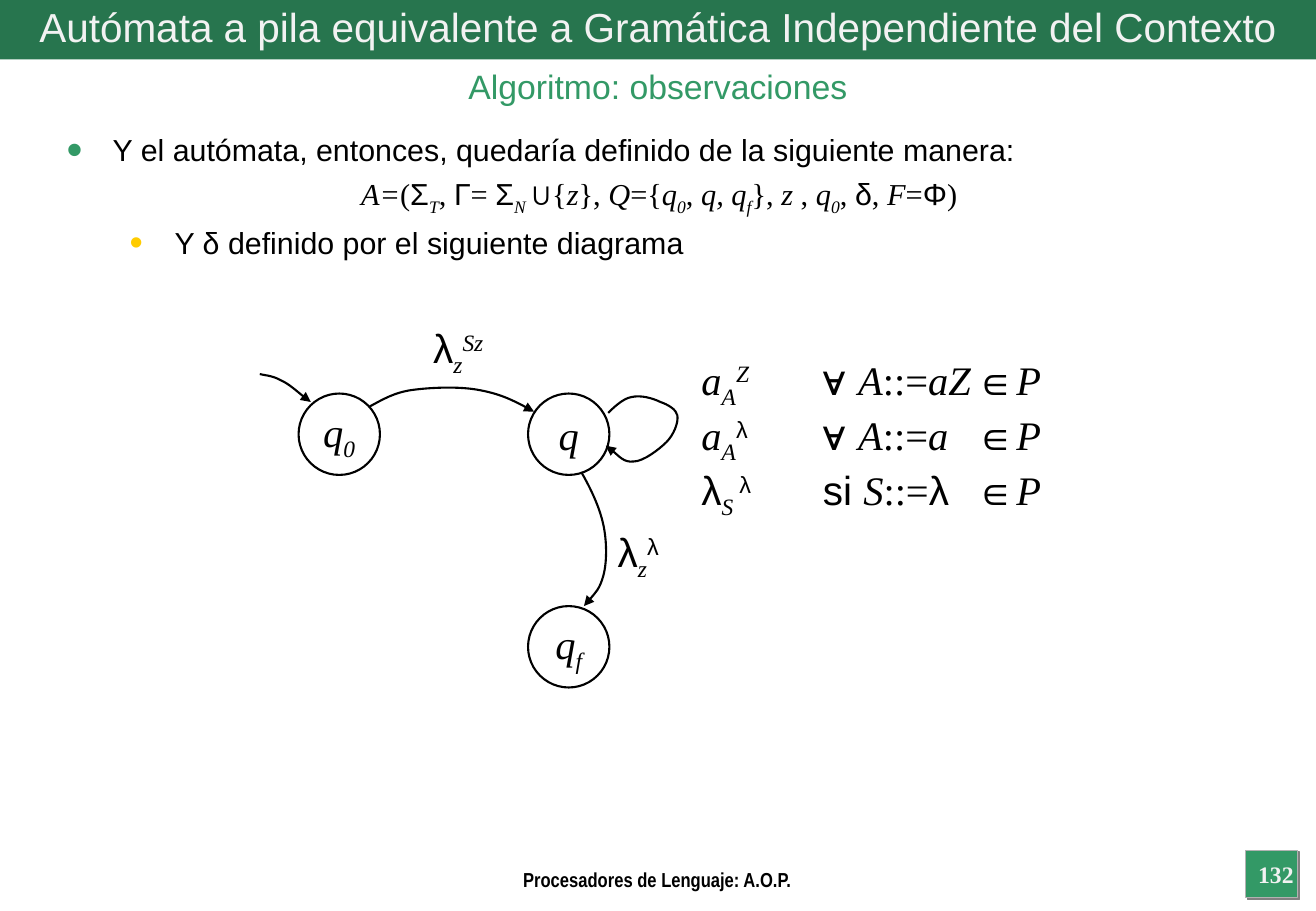
from dataclasses import dataclass

from lxml.etree import SubElement
from pptx import Presentation
from pptx.dml.color import RGBColor
from pptx.enum.shapes import MSO_SHAPE
from pptx.enum.text import MSO_ANCHOR, MSO_AUTO_SIZE, PP_ALIGN
from pptx.oxml.ns import qn
from pptx.util import Inches, Pt

CELL = Inches(0.1)  # side of one grid cell
COLUMNS, ROWS = 108.4, 75
BAND_ROWS = 4.9
STATE_SIZE = 6.7


@dataclass(frozen=True)
class Theme:
    band: str = "27754E"
    accent: str = "339966"
    second_bullet: str = "FFCC00"
    ink: str = "000000"
    light: str = "F2F2F2"
    badge_edge: str = "B2B2B2"
    badge_shadow: str = "808080"
    title: int = 24
    subtitle: int = 20
    body: int = 18
    symbol: int = 24
    footer: int = 12
    number: int = 14
    sans: str = "Arial"
    narrow: str = "Arial Narrow"
    serif: str = "Times New Roman"
    stroke: float = 1.25
    space_before: float = 4.5


def cells(count):
    return round(count * CELL)


def rgb(value):
    return RGBColor.from_string(value)


class SlideBuilder:
    def __init__(self, slide, theme):
        self.shapes = slide.shapes
        self.theme = theme

    def box(self, left, top, width, height, wrap=True):
        frame = self.shapes.add_textbox(*map(cells, (left, top, width, height))).text_frame
        frame.word_wrap = wrap
        if not wrap:
            frame.auto_size = MSO_AUTO_SIZE.SHAPE_TO_FIT_TEXT
        return frame

    def panel(self, preset, left, top, width, height, fill=None, edge=None, weight=0.75):
        panel = self.shapes.add_shape(preset, *map(cells, (left, top, width, height)))
        panel.shadow.inherit = False
        self.paint(panel, fill, edge, weight)
        panel.text_frame.vertical_anchor = MSO_ANCHOR.MIDDLE
        return panel

    def paint(self, outline, fill, edge, weight):
        if fill:
            outline.fill.solid()
            outline.fill.fore_color.rgb = rgb(fill)
        else:
            outline.fill.background()
        if edge:
            outline.line.color.rgb = rgb(edge)
            outline.line.width = Pt(weight)
        else:
            outline.line.fill.background()

    def plain(self, paragraph, words, size, color, font=None, bold=False, align=PP_ALIGN.CENTER):
        paragraph.text = words
        paragraph.alignment = align
        for run in paragraph.runs:
            self.style(run, size, color, font or self.theme.sans, bold=bold)

    def style(self, run, size, color, font, bold=False, italic=False):
        run.font.size = Pt(size)
        run.font.name = font
        run.font.bold = bold
        run.font.italic = italic
        run.font.color.rgb = rgb(color)

    def formula(self, paragraph, pieces, size, align=PP_ALIGN.LEFT):
        """Add (text, code) pieces: v variable, m upright serif, g sans; _ lowers, ^ raises."""
        paragraph.alignment = align
        for words, code in pieces:
            run = paragraph.add_run()
            run.text = words
            font = self.theme.sans if code[0] == "g" else self.theme.serif
            self.style(run, size, self.theme.ink, font, italic=code[0] == "v")
            shift = {"_": "-25000", "^": "30000"}.get(code[1:])
            if shift:
                run.font._element.set("baseline", shift)

    def indent(self, paragraph, left, hanging):
        properties = paragraph._p.get_or_add_pPr()
        properties.set("marL", str(cells(left)))
        properties.set("indent", str(-cells(hanging)))
        return properties

    def bullet(self, paragraph, left, hanging, color, percent):
        properties = self.indent(paragraph, left, hanging)
        SubElement(SubElement(properties, qn("a:buClr")), qn("a:srgbClr"), val=color)
        SubElement(properties, qn("a:buSzPct"), val=str(percent * 1000))
        SubElement(properties, qn("a:buFont"), typeface=self.theme.sans)
        SubElement(properties, qn("a:buChar"), char="•")

    def tabs(self, paragraph, stops):
        tab_list = SubElement(paragraph._p.get_or_add_pPr(), qn("a:tabLst"))
        for stop in stops:
            SubElement(tab_list, qn("a:tab"), pos=str(cells(stop)), algn="l")

    def state(self, left, top, pieces):
        circle = self.panel(MSO_SHAPE.OVAL, left, top, STATE_SIZE, STATE_SIZE,
                            edge=self.theme.ink, weight=self.theme.stroke)
        frame = circle.text_frame
        frame.word_wrap = False
        frame.margin_left = frame.margin_right = frame.margin_top = frame.margin_bottom = 0
        self.formula(frame.paragraphs[0], pieces, self.theme.symbol, PP_ALIGN.CENTER)

    def transition(self, points):
        """Draw a curved arrow: a start, then two handles and an end for each curve."""
        start, *rest = [(cells(x), cells(y)) for x, y in points]
        builder = self.shapes.build_freeform(*start)
        builder.add_line_segments(rest, close=False)
        arc = builder.convert_to_shape()
        arc.shadow.inherit = False
        self.paint(arc, None, self.theme.ink, self.theme.stroke)
        SubElement(arc.element.spPr.find(qn("a:ln")), qn("a:tailEnd"), type="triangle")
        segments = arc.element.findall(".//" + qn("a:lnTo"))
        outline = segments[0].getparent()
        for first in range(0, len(segments), 3):
            curve = SubElement(outline, qn("a:cubicBezTo"))
            for segment in segments[first:first + 3]:
                curve.append(segment[0])
                outline.remove(segment)

    def label(self, left, top, width, pieces):
        self.formula(self.box(left, top, width, 5.6, wrap=False).paragraphs[0],
                     pieces, self.theme.symbol)

    def page_number(self, words):
        theme = self.theme
        badge = self.panel(MSO_SHAPE.RECTANGLE, 102.6, 70, 4.3, 3.9, theme.accent, theme.badge_edge)
        shadow = SubElement(badge.element.spPr.find(qn("a:effectLst")), qn("a:outerShdw"),
                            dist=str(Pt(1.4)), dir="2700000", algn="ctr", rotWithShape="0")
        SubElement(shadow, qn("a:srgbClr"), val=theme.badge_shadow)
        frame = badge.text_frame
        frame.margin_left, frame.margin_right = cells(0.7), 0
        frame.word_wrap = False
        self.plain(frame.paragraphs[0], words, theme.number, theme.light, theme.serif, bold=True)


def add_headings(page):
    theme = page.theme
    page.page_number("132")
    band = page.panel(MSO_SHAPE.RECTANGLE, 0, 0, COLUMNS, BAND_ROWS, theme.band).text_frame
    band.margin_bottom = cells(1)
    page.plain(band.paragraphs[0], "Autómata a pila equivalente a Gramática Independiente del Contexto",
               theme.title, theme.light)
    page.plain(page.box(0, BAND_ROWS, COLUMNS, 4.4).paragraphs[0], "Algoritmo: observaciones",
               theme.subtitle, theme.accent)
    page.plain(page.box(30.1, 70.9, 48.1, 1.8).paragraphs[0], "Procesadores de Lenguaje: A.O.P.",
               theme.footer, theme.ink, theme.narrow, bold=True)


def add_definition(page):
    theme = page.theme
    body = page.box(4.5, 10.3, 99.6, 12)
    intro, tuple_line, detail = body.paragraphs[0], body.add_paragraph(), body.add_paragraph()
    page.bullet(intro, 3.8, 3.8, theme.accent, 150)
    page.plain(intro, "Y el autómata, entonces, quedaría definido de la siguiente manera:",
               theme.body, theme.ink, align=PP_ALIGN.LEFT)
    page.indent(tuple_line, 3.8, 3.8)
    page.formula(tuple_line, [
        ("A=", "v"), ("(", "m"), ("Σ", "g"), ("T", "v_"), (", ", "m"), ("Γ", "g"), ("= ", "m"),
        ("Σ", "g"), ("N ", "v_"), ("∪", "g"), ("{", "m"), ("z", "v"), ("}, ", "m"), ("Q", "v"),
        ("={", "m"), ("q", "v"), ("0", "v_"), (", ", "m"), ("q, q", "v"), ("f", "v_"), ("}, ", "m"),
        ("z ", "v"), (", ", "m"), ("q", "v"), ("0", "v_"), (", ", "m"), ("δ", "g"), (", ", "m"),
        ("F", "v"), ("=", "m"), ("Φ", "g"), (")", "m")], theme.body, PP_ALIGN.CENTER)
    detail.level = 1
    page.bullet(detail, 8.9, 3.7, theme.second_bullet, 125)
    page.plain(detail, "Y δ definido por el siguiente diagrama", theme.body, theme.ink,
               align=PP_ALIGN.LEFT)
    for paragraph in (tuple_line, detail):
        paragraph.space_before = Pt(theme.space_before)


def add_automaton(page):
    page.state(24.6, 32.4, [("q", "v"), ("0", "v_")])
    page.state(43.5, 32.4, [("q", "v")])
    page.state(43.5, 49.9, [("q", "v"), ("f", "v_")])
    entry = [(21.4, 30.8), (21.7, 30.9), (22.4, 30.9), (23.1, 31.3), (23.8, 31.6), (25, 32.7), (25.6, 33.1)]
    push = [(30.4, 33.5), (31.5, 32.9), (32.5, 32.3), (34, 32.1), (35.5, 31.9), (37.8, 31.8),
            (39.4, 32.1), (41.1, 32.4), (42.6, 33.1), (44, 33.9)]
    loop = [(50.1, 34), (50.4, 33.7), (51.3, 32.8), (52, 32.7), (52.8, 32.5), (53.8, 32.8),
            (54.4, 33.1), (55, 33.3), (55.7, 33.7), (55.8, 34.2), (55.9, 34.8), (55.5, 35.8),
            (54.9, 36.4), (54.3, 37), (53, 38), (52.2, 38), (51.4, 38.1), (50.4, 37), (49.9, 36.7)]
    accept = [(47.9, 38.9), (48.7, 40.3), (49.4, 41.8), (49.7, 43.2), (50, 44.6), (50, 46.3),
              (49.7, 47.4), (49.4, 48.5), (48.7, 49.2), (48.1, 49.9)]
    for points in (entry, push, loop, accept):
        page.transition(points)
    page.label(34.7, 26.1, 6.3, [("λ", "g"), ("z", "v_"), ("Sz", "v^")])
    page.label(49.9, 42.9, 5.6, [("λ", "g"), ("z", "v_"), ("λ", "g^")])


def add_loop_rules(page):
    member = [("∈", "g"), ("P", "v")]
    rules = [
        [("a", "v"), ("A", "v_"), ("Z\t", "v^"), ("∀ ", "g"), ("A", "v"), ("::=", "m"), ("aZ\t", "v")],
        [("a", "v"), ("A", "v_"), ("λ\t", "g^"), ("∀ ", "g"), ("A", "v"), ("::=", "m"), ("a\t", "v")],
        [("λ", "g"), ("S ", "v_"), ("λ\t", "g^"), ("si ", "g"), ("S", "v"), ("::=", "m"), ("λ\t", "g")],
    ]
    frame = page.box(56.8, 28.7, 32, 14.7)
    for position, rule in enumerate(rules):
        paragraph = frame.add_paragraph() if position else frame.paragraphs[0]
        page.tabs(paragraph, (10, 22.6))
        page.formula(paragraph, rule + member, page.theme.symbol)


def main():
    deck = Presentation()
    deck.slide_width, deck.slide_height = cells(COLUMNS), cells(ROWS)
    page = SlideBuilder(deck.slides.add_slide(deck.slide_layouts[6]), Theme())
    add_headings(page)
    add_definition(page)
    add_automaton(page)
    add_loop_rules(page)
    deck.save("out.pptx")


if __name__ == "__main__":
    main()
